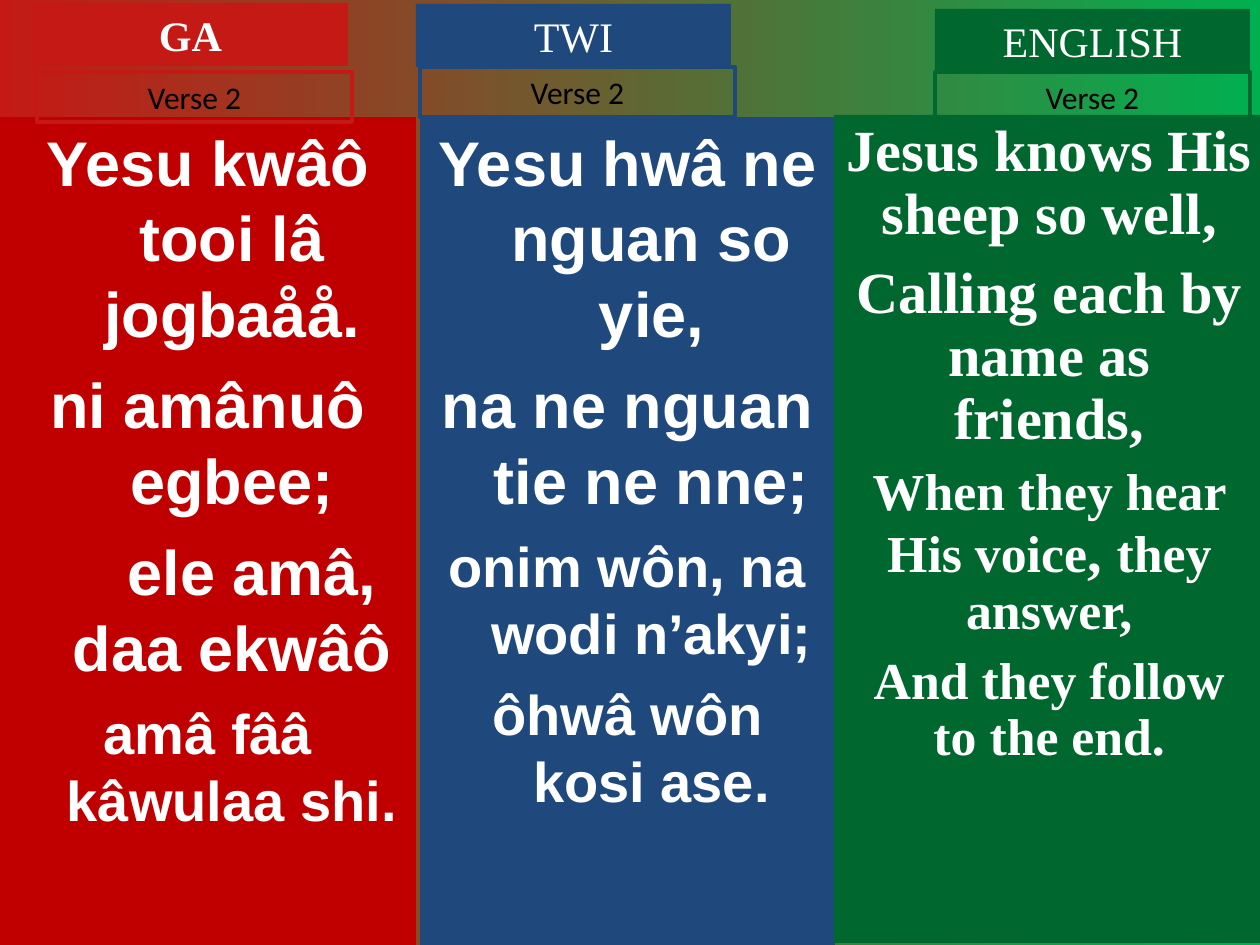
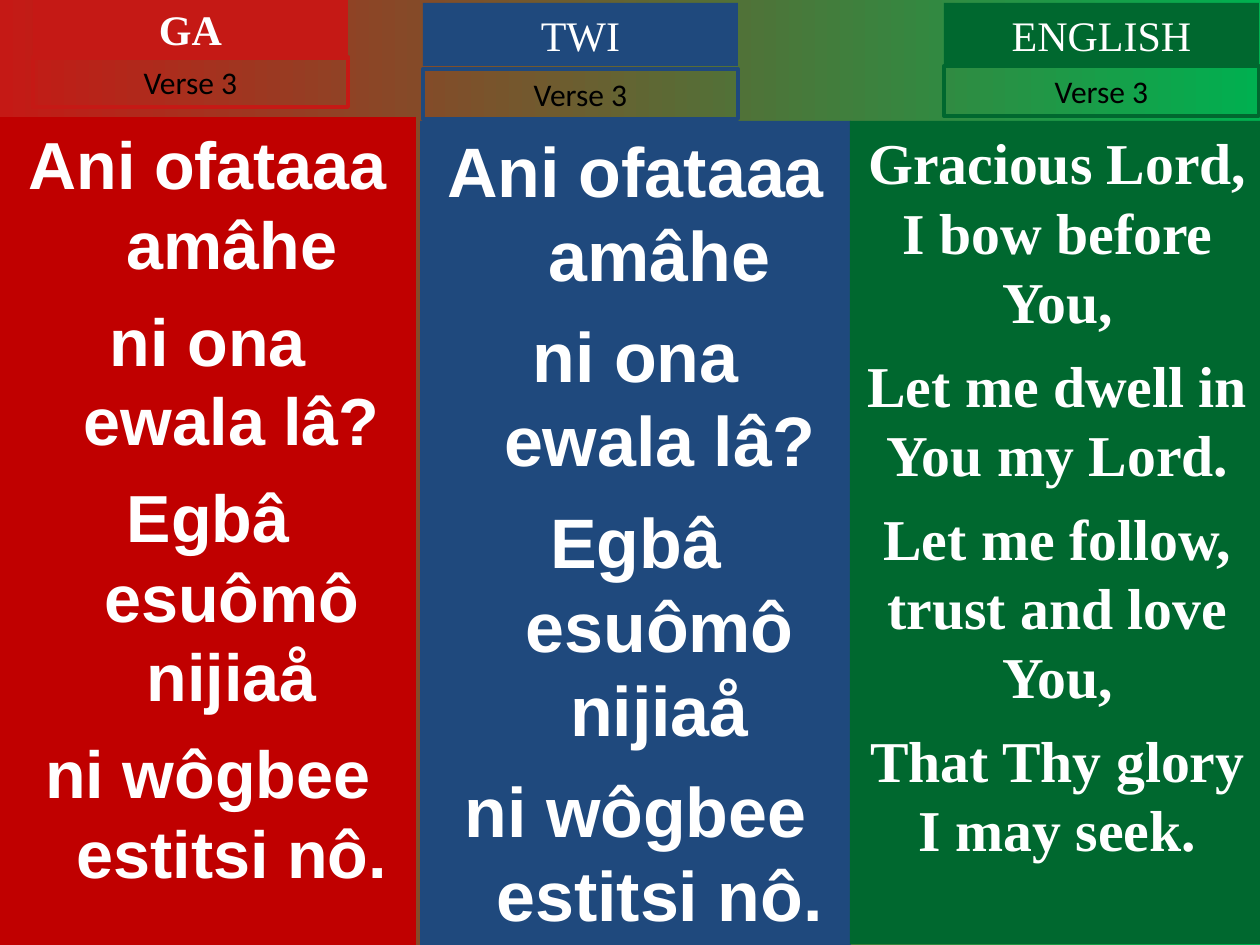
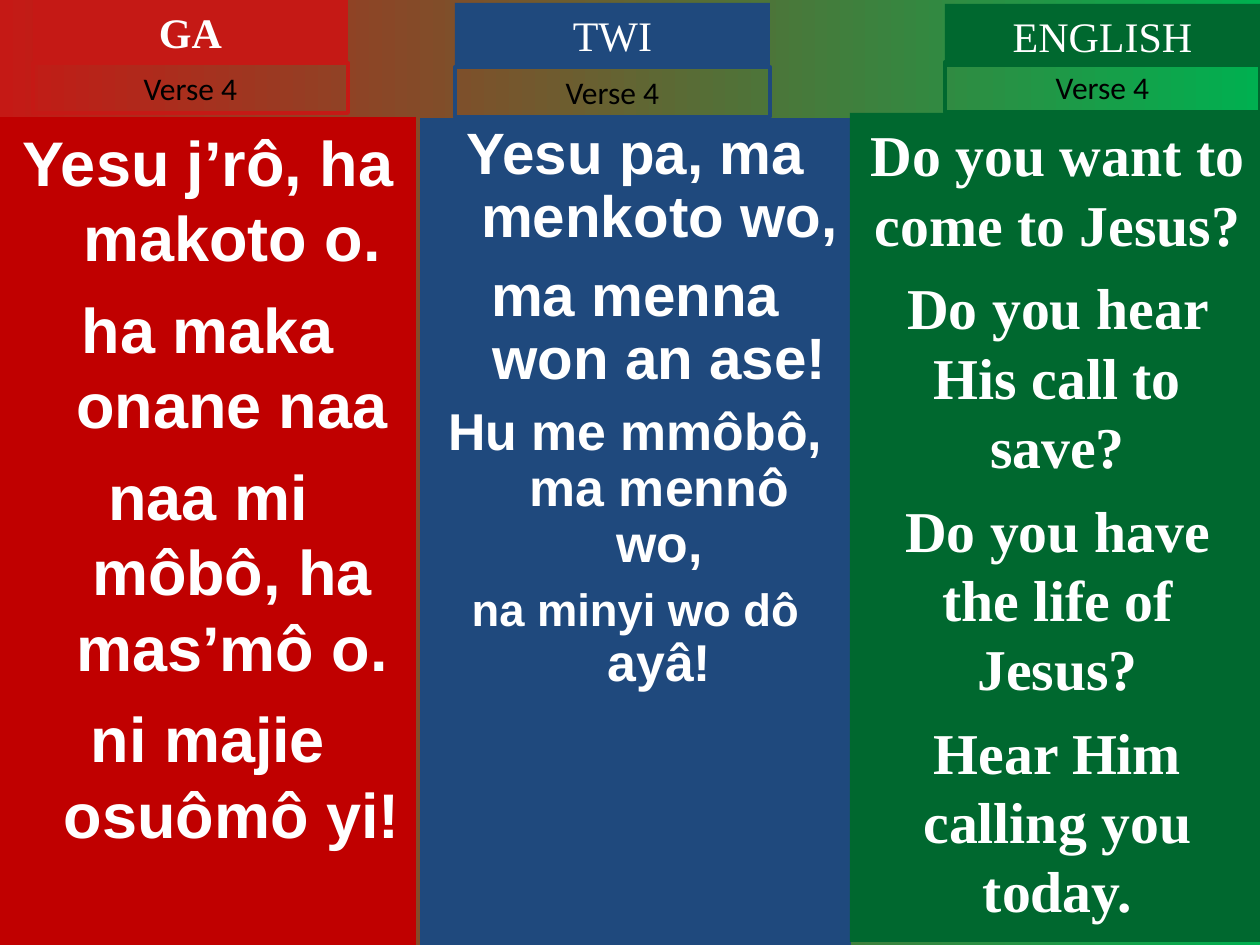
from dataclasses import dataclass

from lxml.etree import SubElement as Sub
from pptx import Presentation as Deck
from pptx.dml.color import RGBColor as Rgb
from pptx.enum.shapes import MSO_SHAPE as Kind
from pptx.enum.text import MSO_ANCHOR as Anchor, MSO_AUTO_SIZE as Fit, PP_ALIGN as Align
from pptx.oxml.ns import qn
from pptx.util import Pt

SCALE = 914400 / 126  # EMU in one px


def px(n):
    return round(n * SCALE)


@dataclass(frozen=True)
class Theme:
    red: str = "C51915"
    deep: str = "C00000"
    blue: str = "1F497D"
    green: str = "00682F"
    lime: str = "00B050"
    white: str = "FFFFFF"
    black: str = "000000"
    sans: str = "Arial"
    serif: str = "Times New Roman"
    plain: str = "Calibri"
    head: int = 24
    verse: int = 18
    edge: float = 2.25
    hang: int = 48


@dataclass(frozen=True)
class Tongue:
    name: str
    tint: str
    fill: str
    font: str
    hang: int
    bold: bool = False


T = Theme()
TONGUES = [
    Tongue("GA", T.red, T.deep, T.sans, T.hang, True),
    Tongue("TWI", T.blue, T.blue, T.sans, T.hang),
    Tongue("ENGLISH", T.green, T.green, T.serif, 0),
]


@dataclass
class Line:
    runs: list  # (text, size) pairs
    shift: int = 0  # extra indent of the first row


def lines(size, *texts):
    return [Line([(text, size)]) for text in texts]


class Board:
    def __init__(self, theme):
        self.theme = theme
        self.deck = Deck()
        self.deck.slide_width, self.deck.slide_height = px(1260), px(945)
        self.slide = None
        self.back()

    def back(self):
        fill = self.deck.slide_master.background.fill
        fill.gradient()
        fill.gradient_angle = 0
        for stop, tint in zip(fill.gradient_stops, (self.theme.red, self.theme.lime)):
            stop.color.rgb = Rgb.from_string(tint)

    def page(self):
        self.slide = self.deck.slides.add_slide(self.deck.slide_layouts[3])

    def box(self, area, fill=None, edge=None, slot=None):
        """Place a rectangle, or move the placeholder of the given slot."""
        area = [px(n) for n in area]
        if slot is None:
            shape = self.slide.shapes.add_shape(Kind.RECTANGLE, *area)
            shape.shadow.inherit = False
        else:
            shape = self.slide.placeholders[slot]
            shape.left, shape.top, shape.width, shape.height = area
        if fill:
            shape.fill.solid()
            shape.fill.fore_color.rgb = Rgb.from_string(fill)
        else:
            shape.fill.background()
        if edge:
            shape.line.color.rgb = Rgb.from_string(edge)
            shape.line.width = Pt(self.theme.edge)
        else:
            shape.line.fill.background()
        frame = shape.text_frame
        frame.word_wrap, frame.auto_size = True, Fit.NONE
        frame.vertical_anchor = Anchor.TOP
        return frame

    def text(self, frame, rows, font, tint, bold=False, hang=0, pitch=1.0):
        for i, row in enumerate(rows):
            para = frame.add_paragraph() if i else frame.paragraphs[0]
            prop = para._p.get_or_add_pPr()
            prop.set("marL", str(px(hang)))
            prop.set("indent", str(px(row.shift - hang)))
            Sub(prop, qn("a:buNone"))
            para.alignment, para.line_spacing = Align.CENTER, pitch
            gap = 0.25 if pitch == 1 else 0.27
            para.space_before = Pt(round(row.runs[-1][1] * gap, 1) if i else 0)
            for words, size in row.runs:
                run = para.add_run()
                run.text = words
                run.font.name, run.font.size, run.font.bold = font, Pt(size), bold
                run.font.color.rgb = Rgb.from_string(tint)

    def panel(self, tongue, area, rows, pitch, slot):
        frame = self.box(area, tongue.fill, slot=slot)
        self.text(frame, rows, tongue.font, self.theme.white, True, tongue.hang, pitch)

    def head(self, tongue, left, top, slot):
        frame = self.box((left, top, 315, 63), tongue.tint, slot=slot)
        self.text(frame, lines(self.theme.head, tongue.name), self.theme.serif,
                  self.theme.white, tongue.bold)

    def verse(self, tongue, left, top, label):
        frame = self.box((left, top, 315, 50), edge=tongue.tint)
        self.text(frame, lines(self.theme.verse, label), self.theme.plain,
                  self.theme.black)

    def save(self):
        self.deck.save("out.pptx")


# Each column: panel area, head corner, verse corner, line pitch, rows
RED = (0, 117, 416, 828)
PAGES = {
    "Verse 2": [
        (RED, (33, 3), (37, 72), 1.0,
         lines(36, "Yesu kwâô tooi lâ jogbaåå.", "ni amânuô egbee;")
         + [Line([("ele amâ, daa ekwâô", 36)], 88)]
         + lines(32, "amâ fââ kâwulaa shi.")),
        ((420, 117, 415, 828), (416, 4), (420, 67), 1.0,
         lines(36, "Yesu hwâ ne nguan so yie,", "na ne nguan tie ne nne;")
         + lines(32, "onim wôn, na wodi n’akyi;", "ôhwâ wôn kosi ase.")),
        ((834, 115, 431, 828), (935, 9), (935, 72), 0.9,
         lines(33.3, "Jesus knows His sheep so well,",
               "Calling each by name as friends,")
         + [Line([("When they hear His voice", 29.6), (", ", 33.3),
                  ("they answer,", 29.6)])]
         + lines(29.6, "And they follow to the end.")),
    ],
    "Verse 3": [
        (RED, (33, -3), (33, 57), 1.0,
         lines(38, "Ani ofataaa amâhe", "ni ona ewala lâ?",
               "Egbâ esuômô nijiaå", "ni wôgbee estitsi nô.")),
        ((420, 121, 431, 824), (423, 3), (423, 69), 1.0,
         lines(40, "Ani ofataaa amâhe", "ni ona ewala lâ?",
               "Egbâ esuômô nijiaå", "ni wôgbee estitsi nô.")),
        ((850, 121, 415, 823), (944, 3), (944, 66), 1.0,
         lines(33, "Gracious Lord, I bow before You,", "Let me dwell in You my Lord.",
               "Let me follow, trust and love You,", "That Thy glory I may seek.")),
    ],
    "Verse 4": [
        (RED, (33, 0), (33, 63), 1.0,
         lines(36, "Yesu j’rô, ha makoto o.", "ha maka onane naa",
               "naa mi môbô, ha mas’mô o.", "ni majie osuômô yi!")),
        ((420, 118, 431, 827), (455, 3), (455, 67), 0.9,
         lines(33.3, "Yesu pa, ma menkoto wo,", "ma menna won an ase!")
         + lines(29.6, "Hu me mmôbô, ma mennô wo,")
         + [Line([("na minyi wo dô ", 25.9), ("ayâ!", 29.6)])]),
        ((850, 113, 415, 829), (945, 4), (945, 62), 1.0,
         lines(33, "Do you want to come to Jesus?", "Do you hear His call to save?",
               "Do you have the life of Jesus?", "Hear Him calling you today.")),
    ],
}


def main():
    board = Board(T)
    for label, parts in PAGES.items():
        board.page()
        # Title slot holds the first head; body slots hold the first two panels
        for tongue, part, head, body in zip(TONGUES, parts, (0, None, None), (1, 2, None)):
            area, top, low, pitch, rows = part
            board.panel(tongue, area, rows, pitch, body)
            board.head(tongue, *top, head)
            board.verse(tongue, *low, label)
    board.save()


if __name__ == "__main__":
    main()
